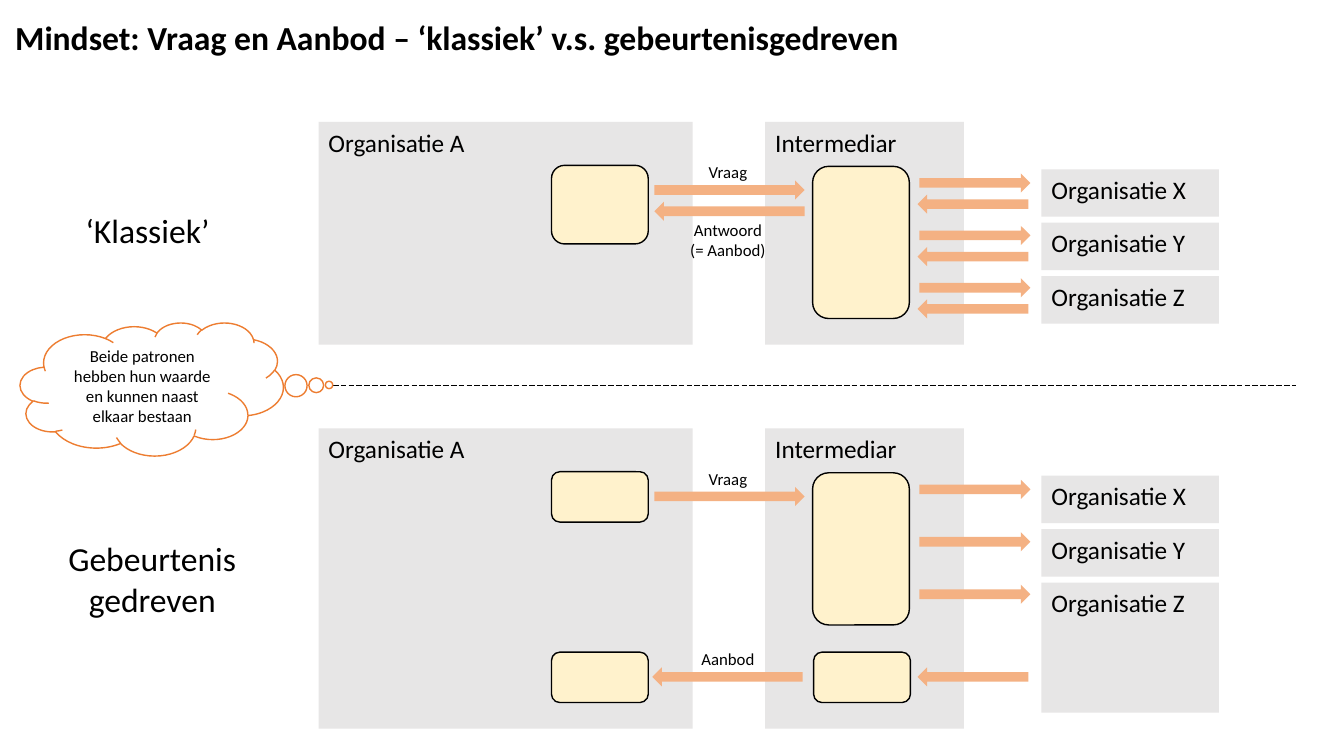
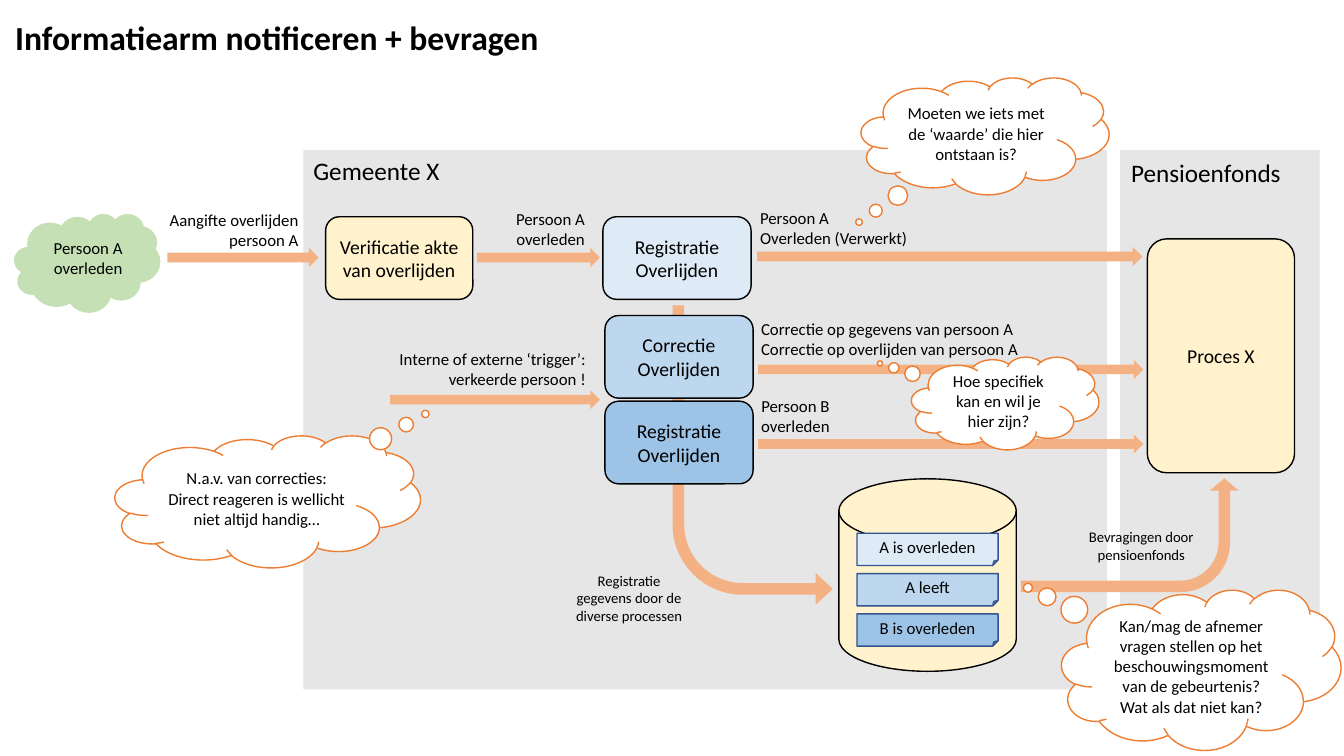
from dataclasses import dataclass
from typing import Any, Optional

from lxml.etree import SubElement
from pptx import Presentation
from pptx.dml.color import RGBColor
from pptx.enum.dml import MSO_LINE
from pptx.enum.shapes import MSO_CONNECTOR, MSO_SHAPE
from pptx.enum.text import MSO_ANCHOR, MSO_AUTO_SIZE, PP_ALIGN
from pptx.oxml.ns import qn
from pptx.util import Inches, Pt


@dataclass(frozen=True)
class Theme:
    font: str = "Calibri"
    text: str = "000000"
    white: str = "FFFFFF"
    area: str = "E7E6E6"
    process: str = "FFF2CC"
    arrow: str = "F4B183"
    thought: str = "ED7D31"
    event: str = "C5E0B4"
    record_line: str = "325491"
    blues: tuple[str, ...] = ("DEEBF7", "BDD7EE", "9DC3E6")
    title_size: float = 24
    area_size: float = 18
    process_size: float = 14
    label_size: float = 12
    small_size: float = 10.5


THEME = Theme()
LEFT, CENTER, RIGHT = PP_ALIGN.LEFT, PP_ALIGN.CENTER, PP_ALIGN.RIGHT
ARROW_HEIGHT = 0.19


@dataclass(frozen=True)
class Area:
    """Position and size in inches."""
    left: float
    top: float
    width: float
    height: float

    def lengths(self) -> tuple:
        return tuple(Inches(v) for v in (self.left, self.top, self.width, self.height))


@dataclass(frozen=True)
class Label:
    text: str
    area: Area
    align: Any = LEFT
    size: float = THEME.label_size
    wrap: bool = True


@dataclass(frozen=True)
class Box:
    area: Area
    fill: str
    text: str = ""
    line: Optional[str] = THEME.text
    kind: Any = MSO_SHAPE.ROUNDED_RECTANGLE
    size: float = THEME.process_size
    adjust: tuple[float, ...] = ()
    rotation: float = 0
    flip: str = ""


@dataclass(frozen=True)
class Thought:
    text: str
    area: Area
    tail: tuple[float, float]


# Shared drawing functions
def set_format(target: Any, values: dict[str, Any]) -> None:
    for name, value in values.items():
        setattr(target, name, value)


def write_text(frame: Any, text: str, size: float, align: Any,
               bold: bool = False, spacing: Optional[float] = None) -> None:
    frame.text = text
    for paragraph in frame.paragraphs:
        set_format(paragraph, {"alignment": align, "line_spacing": spacing})
        set_format(paragraph.font, {"name": THEME.font, "size": Pt(size), "bold": bold})
        paragraph.font.color.rgb = RGBColor.from_string(THEME.text)


def add_title_slide(deck: Any, text: str) -> Any:
    slide = deck.slides.add_slide(deck.slide_layouts[5])
    title = slide.shapes.title
    left, top, width, height = Area(0.05, 0.05, 12.39, 0.69).lengths()
    set_format(title, {"left": left, "top": top, "width": width, "height": height})
    set_format(title.text_frame, {"vertical_anchor": MSO_ANCHOR.MIDDLE, "word_wrap": True,
                                  "auto_size": MSO_AUTO_SIZE.NONE})
    write_text(title.text_frame, text, THEME.title_size, LEFT, True, 0.9)
    return slide


def add_label(slide: Any, label: Label) -> None:
    frame = slide.shapes.add_textbox(*label.area.lengths()).text_frame
    write_text(frame, label.text, label.size, label.align)
    set_format(frame, {"word_wrap": label.wrap, "auto_size": MSO_AUTO_SIZE.SHAPE_TO_FIT_TEXT})


def add_box(slide: Any, box: Box) -> None:
    shape = slide.shapes.add_shape(box.kind, *box.area.lengths())
    shape.shadow.inherit = False
    shape.rotation = box.rotation
    shape.fill.solid()
    shape.fill.fore_color.rgb = RGBColor.from_string(box.fill)
    if box.line:
        shape.line.color.rgb = RGBColor.from_string(box.line)
        shape.line.width = Pt(1)
    else:
        shape.line.fill.background()
    for index, value in enumerate(box.adjust):
        shape.adjustments[index] = value
    if box.flip:
        shape._element.spPr.get_or_add_xfrm().set(box.flip, "1")
    if box.text:
        set_format(shape.text_frame, {"vertical_anchor": MSO_ANCHOR.MIDDLE, "word_wrap": True})
        write_text(shape.text_frame, box.text, box.size, CENTER)


def add_arrow(slide: Any, left: float, top: float, width: float, back: bool = False) -> None:
    add_box(slide, Box(Area(left, top, width, ARROW_HEIGHT), THEME.arrow, line=None,
                       kind=MSO_SHAPE.RIGHT_ARROW, rotation=180 if back else 0))


def add_area(slide: Any, name: str, area: Area, name_width: float,
             indent: float = 0, drop: float = 0) -> None:
    add_box(slide, Box(area, THEME.area, line=None, kind=MSO_SHAPE.RECTANGLE))
    add_label(slide, Label(name, Area(area.left + indent, area.top + drop, name_width, 0.4),
                           size=THEME.area_size, wrap=False))


def add_thought(slide: Any, thought: Thought) -> None:
    add_box(slide, Box(thought.area, THEME.white, thought.text, THEME.thought,
                       MSO_SHAPE.CLOUD_CALLOUT, THEME.label_size, thought.tail))


def add_divider(slide: Any, left: float, right: float, top: float) -> None:
    divider = slide.shapes.add_connector(MSO_CONNECTOR.STRAIGHT, Inches(left), Inches(top),
                                         Inches(right), Inches(top))
    set_format(divider.line, {"width": Pt(0.5), "dash_style": MSO_LINE.LONG_DASH})
    divider.line.color.rgb = RGBColor.from_string(THEME.text)
    SubElement(divider._element.spPr, qn("a:effectLst"))


# Slide 1: classic against event-driven
def draw_pattern(slide: Any, top: float, height: float, asker_height: float,
                 last_partner_height: float) -> None:
    add_area(slide, "Organisatie A", Area(3.16, top, 3.71, height), 1.57)
    add_area(slide, "Intermediar", Area(7.59, top, 1.97, height), 1.42)
    partner_heights = (0.47, 0.47, last_partner_height)
    for row, (partner, partner_height) in enumerate(zip("XYZ", partner_heights)):
        add_area(slide, f"Organisatie {partner}",
                 Area(10.33, top + 0.47 + row * 0.53, 1.76, partner_height), 1.55)
        add_arrow(slide, 9.12, top + 0.51 + row * 0.52, 1.1)
    add_box(slide, Box(Area(5.47, top + 0.43, 0.96, asker_height), THEME.process))
    add_box(slide, Box(Area(8.06, top + 0.44, 0.96, 1.51), THEME.process))
    add_arrow(slide, 6.49, top + 0.58, 1.49)
    add_label(slide, Label("Vraag", Area(6.74, top + 0.35, 0.96, 0.3), CENTER))


def build_mindset(deck: Any) -> None:
    slide = add_title_slide(deck, "Mindset: Vraag en Aanbod – ‘klassiek’ v.s. gebeurtenisgedreven")

    # Classic: every question gets its answer
    draw_pattern(slide, 1.21, 2.21, 0.78, 0.47)
    for row in range(3):
        add_arrow(slide, 9.1, 1.93 + row * 0.52, 1.1, back=True)
    add_arrow(slide, 6.49, 2.0, 1.49, back=True)

    # Event-driven: the offer comes later
    draw_pattern(slide, 4.25, 2.98, 0.5, 1.29)
    for left in (5.47, 8.07):
        add_box(slide, Box(Area(left, 6.47, 0.96, 0.5), THEME.process))
    for left, width in ((9.1, 1.1), (6.47, 1.49)):
        add_arrow(slide, left, 6.62, width, back=True)

    for label in (
        Label("Antwoord\n(= Aanbod)", Area(6.74, 2.13, 0.96, 0.5), CENTER),
        Label("Aanbod", Area(6.74, 6.39, 0.96, 0.3), CENTER),
        Label("‘Klassiek’", Area(0.75, 2.03, 1.57, 0.5), size=THEME.title_size),
        Label("Gebeurtenis gedreven", Area(0.57, 5.29, 1.88, 0.91), CENTER, THEME.title_size),
    ):
        add_label(slide, label)

    add_divider(slide, 0.34, 12.85, 3.82)
    add_thought(slide, Thought("Beide patronen hebben hun waarde en kunnen naast elkaar bestaan",
                               Area(0.2, 3.2, 2.61, 1.32), (0.674, -0.031)))


# Slide 2: notify and query
def build_notification(deck: Any) -> None:
    slide = add_title_slide(deck, "Informatiearm notificeren + bevragen")
    add_area(slide, "Pensioenfonds", Area(11.11, 1.49, 1.98, 5.35), 1.7, 0.01, 0.02)
    add_area(slide, "Gemeente X", Area(3.01, 1.49, 7.97, 5.35), 1.47)

    # Flows, below the processes they connect
    for left, top, width in ((1.66, 2.46, 1.5), (4.73, 2.46, 1.22), (3.87, 3.87, 2.08),
                             (7.51, 2.45, 3.82), (7.52, 3.57, 3.82), (7.52, 4.31, 3.82)):
        add_arrow(slide, left, top, width)
    for bend in (
        Box(Area(6.67, 3.03, 1.59, 2.97), THEME.arrow, line=None, kind=MSO_SHAPE.BENT_ARROW,
            adjust=(0.073, 0.099, 0.107, 0.438), flip="flipV"),
        Box(Area(10.64, 4.23, 1.13, 2.16), THEME.arrow, line=None, kind=MSO_SHAPE.BENT_ARROW,
            adjust=(0.101, 0.125, 0.107, 0.438), rotation=90, flip="flipH"),
    ):
        add_box(slide, bend)

    # Event, processes and data store
    light, medium, dark = THEME.blues
    for box in (
        Box(Area(0.14, 2.12, 1.45, 0.98), THEME.event, line=None, kind=MSO_SHAPE.CLOUD),
        Box(Area(3.23, 2.15, 1.46, 0.82), THEME.process, "Verificatie akte van overlijden"),
        Box(Area(5.98, 2.15, 1.47, 0.82), light, "Registratie Overlijden"),
        Box(Area(6, 3.13, 1.47, 0.82), medium, "Correctie Overlijden"),
        Box(Area(6, 3.98, 1.47, 0.82), dark, "Registratie Overlijden"),
        Box(Area(11.38, 2.37, 1.46, 2.32), THEME.process, "Proces X", adjust=(0.131,)),
        Box(Area(8.32, 4.75, 1.76, 1.91), THEME.process, kind=MSO_SHAPE.FLOWCHART_MAGNETIC_DISK),
    ):
        add_box(slide, box)
    records = ("A is overleden", "A leeft", "B is overleden")
    for row, (record, blue) in enumerate(zip(records, THEME.blues)):
        add_box(slide, Box(Area(8.5, 5.29 + row * 0.4, 1.4, 0.32), blue, record,
                           THEME.record_line, MSO_SHAPE.FOLDED_CORNER, THEME.label_size))

    # Messages on the flows
    for label in (
        Label("Persoon A overleden", Area(0.26, 2.31, 1.23, 0.5), CENTER),
        Label("Aangifte overlijden\npersoon A", Area(1.5, 2.03, 1.56, 0.5), RIGHT),
        Label("Persoon A\noverleden", Area(4.54, 2.02, 1.36, 0.5), RIGHT),
        Label("Persoon A\nOverleden (Verwerkt)", Area(7.44, 2.01, 1.85, 0.5)),
        Label("Interne of externe ‘trigger’:\nverkeerde persoon !",
              Area(3.83, 3.41, 2.08, 0.5), RIGHT),
        Label("Correctie op gegevens van persoon A\nCorrectie op overlijden van persoon A",
              Area(7.45, 3.11, 3.18, 0.5)),
        Label("Persoon B\noverleden", Area(7.21, 3.88, 1.36, 0.5), CENTER),
        Label("Registratie gegevens door de diverse processen",
              Area(5.56, 5.62, 1.36, 0.63), CENTER, THEME.small_size),
        Label("Bevragingen door pensioenfonds",
              Area(10.64, 5.19, 1.36, 0.45), CENTER, THEME.small_size),
    ):
        add_label(slide, label)

    # Open questions
    for thought in (
        Thought("Moeten we iets met de ‘waarde’ die hier ontstaan is?",
                Area(8.54, 0.77, 2.46, 1.16), (-0.508, 0.736)),
        Thought("Kan/mag de afnemer vragen stellen op het beschouwingsmoment "
                "van de gebeurtenis?\nWat als dat niet kan?",
                Area(10.53, 5.85, 2.77, 1.59), (-0.621, -0.512)),
        Thought("Hoe specifiek kan en wil je hier zijn?",
                Area(9.04, 3.54, 1.86, 0.92), (-0.668, -0.429)),
        Thought("N.a.v. van correcties: Direct reageren is wellicht niet altijd handig…",
                Area(1.14, 4.32, 3.03, 1.31), (0.516, -0.663)),
    ):
        add_thought(slide, thought)


def main() -> None:
    deck = Presentation()
    set_format(deck, {"slide_width": Inches(13.33), "slide_height": Inches(7.5)})
    build_mindset(deck)
    build_notification(deck)
    deck.save("out.pptx")


if __name__ == "__main__":
    main()
